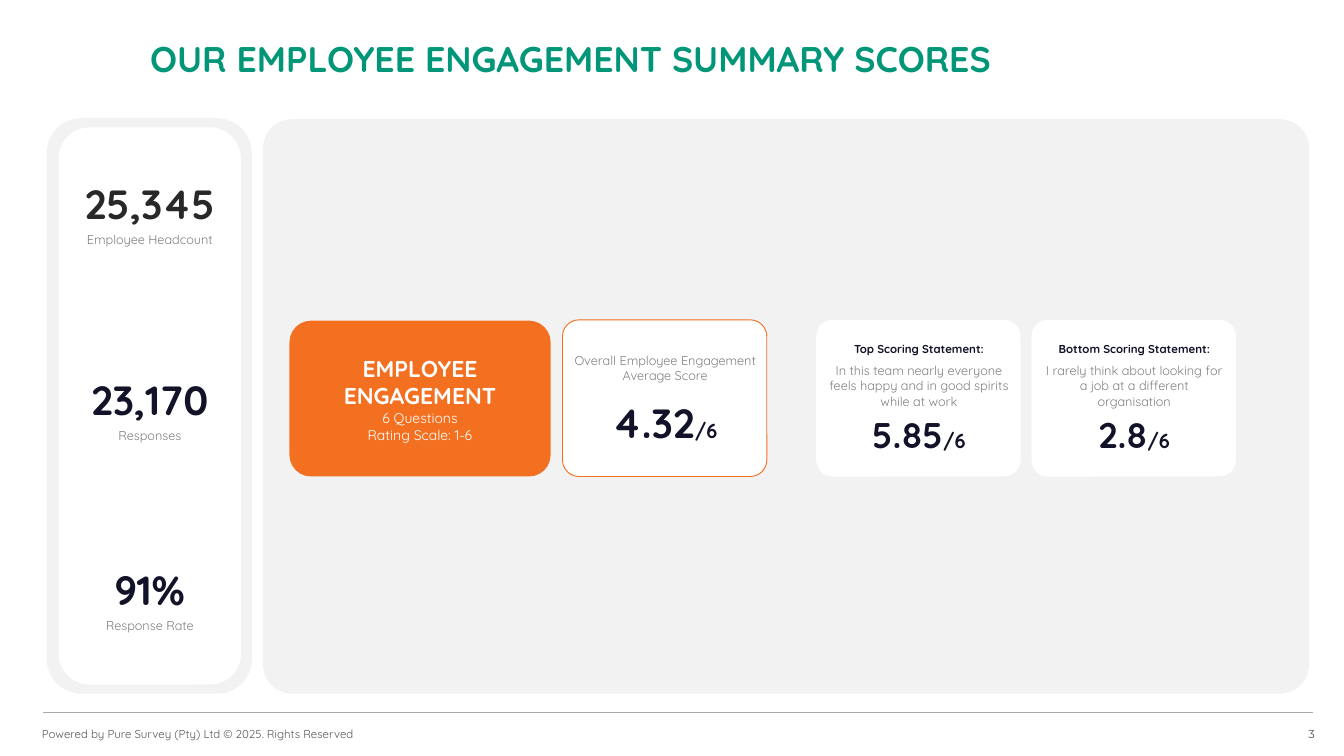
import pptx
import pptx.util
import pptx.dml.color
import pptx.enum.shapes
import pptx.enum.text
import pptx.oxml
from dataclasses import dataclass
from pptx.util import Inches

TITLE = "OUR EMPLOYEE ENGAGEMENT SUMMARY SCORES"
COPYRIGHT = "Powered by Pure Survey (Pty) Ltd © 2025. Rights Reserved"
PAGE_NUMBER = "3"
TOPIC = "EMPLOYEE\nENGAGEMENT"
TOPIC_SCALE = "6 Questions\nRating Scale: 1-6"
OVERALL = ("Overall Employee Engagement Average Score", "4.32")
SCORE_MAXIMUM = "/6"


@dataclass(frozen=True)
class Theme:
    font: str = "Quicksand"
    number_font: str = "Montserrat"
    green: str = "009677"
    orange: str = "F37021"
    navy: str = "121328"
    charcoal: str = "282828"
    grey: str = "808080"
    footer: str = "58595B"
    rule: str = "A7A9AC"
    panel: str = "F2F2F2"
    white: str = "FFFFFF"
    figure: int = 32
    title: int = 28
    topic: int = 18
    maximum: int = 16
    scale: int = 11
    body: int = 10
    small: int = 9


theme = Theme()
# figure, label, top, figure colour
STATS = [
    ("25,345", "Employee Headcount", 1.9, theme.charcoal),
    ("23,170", "Responses", 4.04, theme.navy),
    ("91%", "Response Rate", 6.11, theme.navy),
]
# heading, statement, score, left
STATEMENTS = [
    ("Top Scoring Statement:",
     "In this team nearly everyone feels happy and in good spirits while at work",
     "5.85", 8.91),
    ("Bottom Scoring Statement:",
     "I rarely think about looking for a job at a different organisation",
     "2.8", 11.26),
]
STAT_LEFT, STAT_WIDTH = 0.64, 1.99
OVERALL_LEFT, CARD_TOP, CARD_WIDTH, CARD_HEIGHT = 6.14, 3.49, 2.23, 1.71

LEFT = pptx.enum.text.PP_ALIGN.LEFT
CENTER = pptx.enum.text.PP_ALIGN.CENTER
RIGHT = pptx.enum.text.PP_ALIGN.RIGHT
MIDDLE = pptx.enum.text.MSO_ANCHOR.MIDDLE
TOP = pptx.enum.text.MSO_ANCHOR.TOP


def rgb(colour):
    return pptx.dml.color.RGBColor.from_string(colour)


def style(paragraph, size, colour, bold=False, align=CENTER, font=theme.font):
    paragraph.alignment = align
    paragraph.font.name = font
    paragraph.font.size = pptx.util.Pt(size)
    paragraph.font.bold = bold
    paragraph.font.color.rgb = rgb(colour)


def add_text(parent, box, text, size, colour, anchor=TOP, **looks):
    frame = parent.add_textbox(*map(Inches, box)).text_frame
    frame.word_wrap = True
    frame.vertical_anchor = anchor
    paragraph = frame.paragraphs[0]
    paragraph.text = text
    style(paragraph, size, colour, **looks)
    return paragraph


def add_panel(parent, box, fill, corner=0.17, outline=None):
    panel = parent.add_shape(
        pptx.enum.shapes.MSO_SHAPE.ROUNDED_RECTANGLE, *map(Inches, box))
    panel.adjustments[0] = corner
    panel.shadow.inherit = False
    panel.fill.solid()
    panel.fill.fore_color.rgb = rgb(fill)
    if outline:
        panel.line.color.rgb = rgb(outline)
        panel.line.width = pptx.util.Pt(0.75)
    else:
        panel.line.fill.background()
    return panel


def add_card(shapes, left, score, score_top, score_size, texts, outline=None):
    """Group a white card with its score and (text, top, height, size, colour, bold) lines."""
    card = shapes.add_group_shape().shapes
    add_panel(card, (left, CARD_TOP, CARD_WIDTH, CARD_HEIGHT), theme.white, 0.105, outline)
    score_line = add_text(card, (left + 0.01, score_top, 2.22, 0.6),
                          score, score_size, theme.navy, bold=True)
    maximum = score_line.add_run()
    maximum.text = SCORE_MAXIMUM
    maximum.font.size = pptx.util.Pt(theme.maximum)
    for text, top, height, size, colour, bold in texts:
        add_text(card, (left + 0.01, top, 2.22, height), text, size, colour, bold=bold)


def add_frame(shapes):
    """Draw the title, the footer rule and the footer texts."""
    add_text(shapes, (1.54, 0.35, 10.72, 0.56), TITLE, theme.title, theme.green,
             bold=True, align=LEFT)
    rule = shapes.add_connector(pptx.enum.shapes.MSO_CONNECTOR.STRAIGHT,
                                *map(Inches, (0.47, 7.78, 14.33, 7.78)))
    rule.line.color.rgb = rgb(theme.rule)
    rule.line.width = pptx.util.Pt(0.75)
    rule._element.spPr.append(pptx.oxml.parse_xml(
        '<a:effectLst xmlns:a="http://schemas.openxmlformats.org/drawingml/2006/main"/>'))
    add_text(shapes, (0.36, 7.79, 6.51, 0.44), COPYRIGHT, theme.small, theme.footer,
             anchor=MIDDLE, align=LEFT)
    add_text(shapes, (11.15, 7.79, 3.3, 0.44), PAGE_NUMBER, theme.small, theme.footer,
             anchor=MIDDLE, align=RIGHT, font=theme.number_font)


def add_stats(shapes):
    add_panel(shapes, (0.51, 1.29, 2.24, 6.28), theme.panel)
    add_panel(shapes, (STAT_LEFT, 1.39, STAT_WIDTH, 6.08), theme.white)
    for figure, label, top, colour in STATS:
        add_text(shapes, (STAT_LEFT, top, STAT_WIDTH, 0.64), figure,
                 theme.figure, colour, bold=True)
        add_text(shapes, (STAT_LEFT, top + 0.58, STAT_WIDTH, 0.27), label,
                 theme.body, theme.grey)


def add_scores(shapes):
    add_panel(shapes, (2.87, 1.3, 11.42, 6.27), theme.panel, 0.051)
    topic = add_panel(shapes, (3.16, 3.5, 2.85, 1.7), theme.orange, 0.138).text_frame
    topic.word_wrap = True
    topic.vertical_anchor = MIDDLE
    topic.paragraphs[0].text = TOPIC
    style(topic.paragraphs[0], theme.topic, theme.white, bold=True)
    scale = topic.add_paragraph()
    scale.text = TOPIC_SCALE
    style(scale, theme.scale, theme.white)

    label, score = OVERALL
    add_card(shapes, OVERALL_LEFT, score, 4.29, theme.figure,
             [(label, 3.8, 0.44, theme.body, theme.grey, False)], theme.orange)
    for heading, statement, score, left in STATEMENTS:
        add_card(shapes, left, score, 4.46, theme.title,
                 [(heading, 3.68, 0.25, theme.small, theme.navy, True),
                  (statement, 3.91, 0.61, theme.body, theme.grey, False)])


def main():
    deck = pptx.Presentation()
    deck.slide_width, deck.slide_height = Inches(14.67), Inches(8.25)
    shapes = deck.slides.add_slide(deck.slide_layouts[6]).shapes
    add_frame(shapes)
    add_stats(shapes)
    add_scores(shapes)
    deck.save("out.pptx")


if __name__ == "__main__":
    main()
